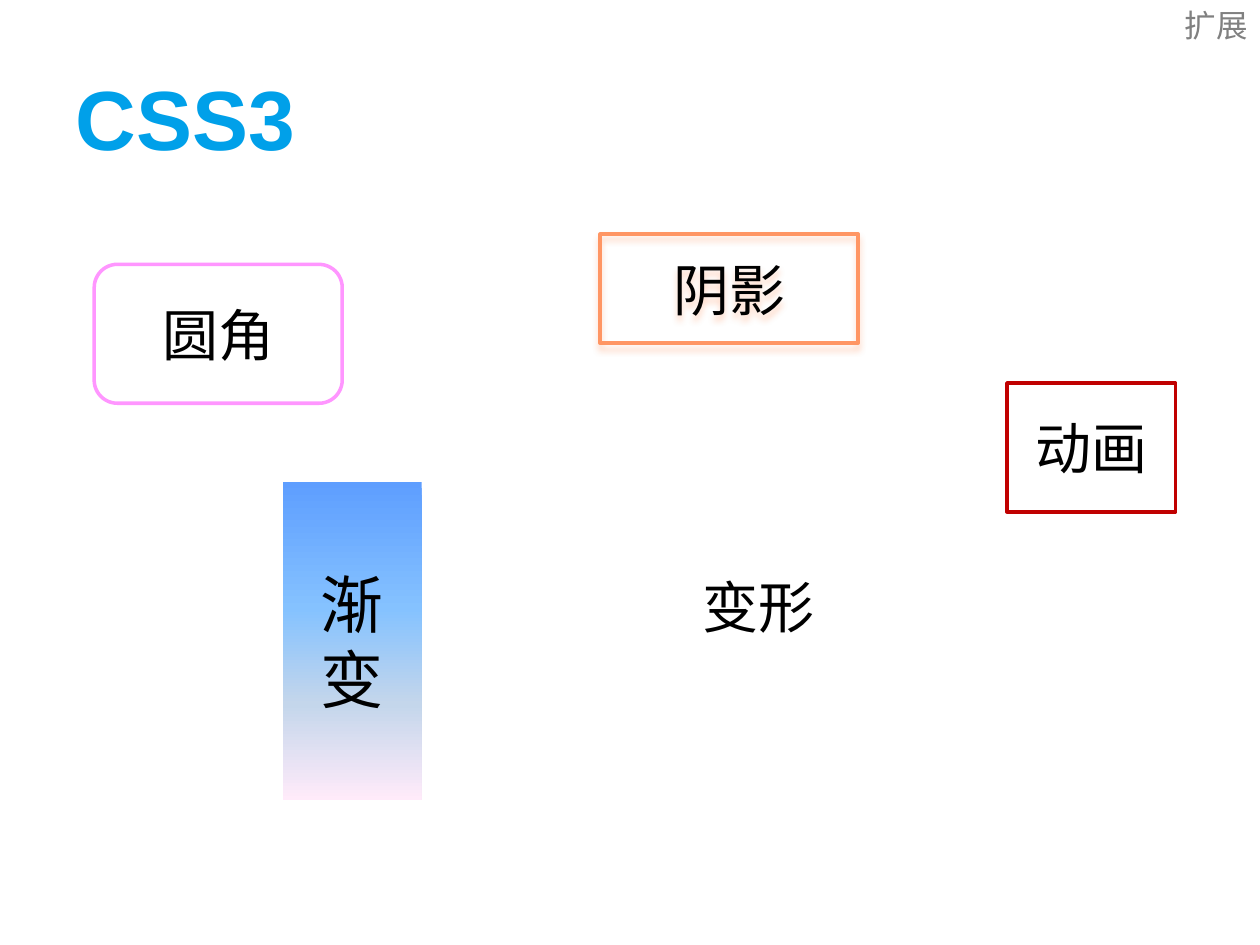
import pptx
import pptx.dml.color
import pptx.enum.shapes
import pptx.enum.text
import pptx.oxml
import pptx.oxml.ns
import pptx.util

Cm = pptx.util.Cm
Pt = pptx.util.Pt
KIND = pptx.enum.shapes.MSO_SHAPE
ALIGN = pptx.enum.text.PP_ALIGN
MIDDLE = pptx.enum.text.MSO_ANCHOR.MIDDLE
NS = pptx.oxml.ns.nsdecls("a")


def rgb(code):
    return pptx.dml.color.RGBColor.from_string(code)


class Deck:
    """Holds the text style and the current slide."""

    font = "Arial"

    def __init__(self):
        self.file = pptx.Presentation()
        self.file.slide_width, self.file.slide_height = Cm(25.4), Cm(19.05)
        self.slide = self.file.slides.add_slide(self.file.slide_layouts[5])

    def words(self, shape, text, size, color, align, bold=False):
        frame = shape.text_frame
        frame.word_wrap = True
        frame.text = text
        para = frame.paragraphs[0]
        para.alignment = align
        font = para.runs[0].font
        font.name, font.size, font.bold = self.font, Pt(size), bold
        font.color.rgb = rgb(color)

    def title(self, text, place):
        shape = self.slide.shapes.title
        shape.left, shape.top, shape.width, shape.height = map(Cm, place)
        self.words(shape, text, 48, "00A0E9", ALIGN.LEFT, True)
        shape.text_frame.vertical_anchor = MIDDLE

    def label(self, text, place):
        shape = self.slide.shapes.add_textbox(*map(Cm, place))
        self.words(shape, text, 18, "808080", ALIGN.RIGHT)

    def box(self, text, place, line=None, kind=KIND.RECTANGLE, size=32):
        shape = self.slide.shapes.add_shape(kind, *map(Cm, place))
        shape.fill.background()
        if line:
            shape.line.color.rgb = rgb(line)
            shape.line.width = Pt(2)
        else:
            shape.line.fill.background()
        shape.shadow.inherit = False
        self.words(shape, text, size, "000000", ALIGN.CENTER)
        shape.text_frame.vertical_anchor = MIDDLE
        return shape

    def blend(self, shape, stops):
        """Fill the shape with a gradient from top to bottom."""
        shape.fill.gradient()
        shape.fill.gradient_angle = 270
        items = shape._element.spPr.find(".//" + pptx.oxml.ns.qn("a:gsLst"))
        for old in list(items):
            items.remove(old)
        for spot, color in stops:
            items.append(pptx.oxml.parse_xml(
                f'<a:gs {NS} pos="{spot * 1000}"><a:srgbClr val="{color}"/></a:gs>'))

    def shade(self, shape, color, alpha, blur, gap):
        """Cast a soft shadow straight down."""
        effects = shape._element.spPr.find(pptx.oxml.ns.qn("a:effectLst"))
        effects.append(pptx.oxml.parse_xml(
            f'<a:outerShdw {NS} blurRad="{Pt(blur)}" dist="{Pt(gap)}" '
            f'dir="5400000" rotWithShape="0"><a:srgbClr val="{color}">'
            f'<a:alpha val="{alpha * 1000}"/></a:srgbClr></a:outerShdw>'))


def main():
    deck = Deck()
    deck.title("CSS3", (1.27, 0.76, 22.86, 3.18))
    deck.label("扩展", (17.3, 0, 8.1, 1.02))
    deck.box("圆角", (1.9, 5.33, 5, 2.8), "FF96FF", KIND.ROUNDED_RECTANGLE)
    fade = deck.box("渐变", (5.7, 9.72, 2.8, 6.4), size=36)
    deck.blend(fade, [(0, "5E9EFF"), (40, "85C2FF"),
                      (70, "C4D6EB"), (100, "FFEBFA")])
    shadow = deck.box("阴影", (12.1, 4.72, 5.2, 2.2), "FF9664")
    deck.shade(shadow, "FF9664", 40, 4, 3)
    deck.box("变形", (12.7, 10.92, 5.2, 2.6))
    deck.box("动画", (20.3, 7.72, 3.4, 2.6), "C00000")
    deck.file.save("out.pptx")


if __name__ == "__main__":
    main()
